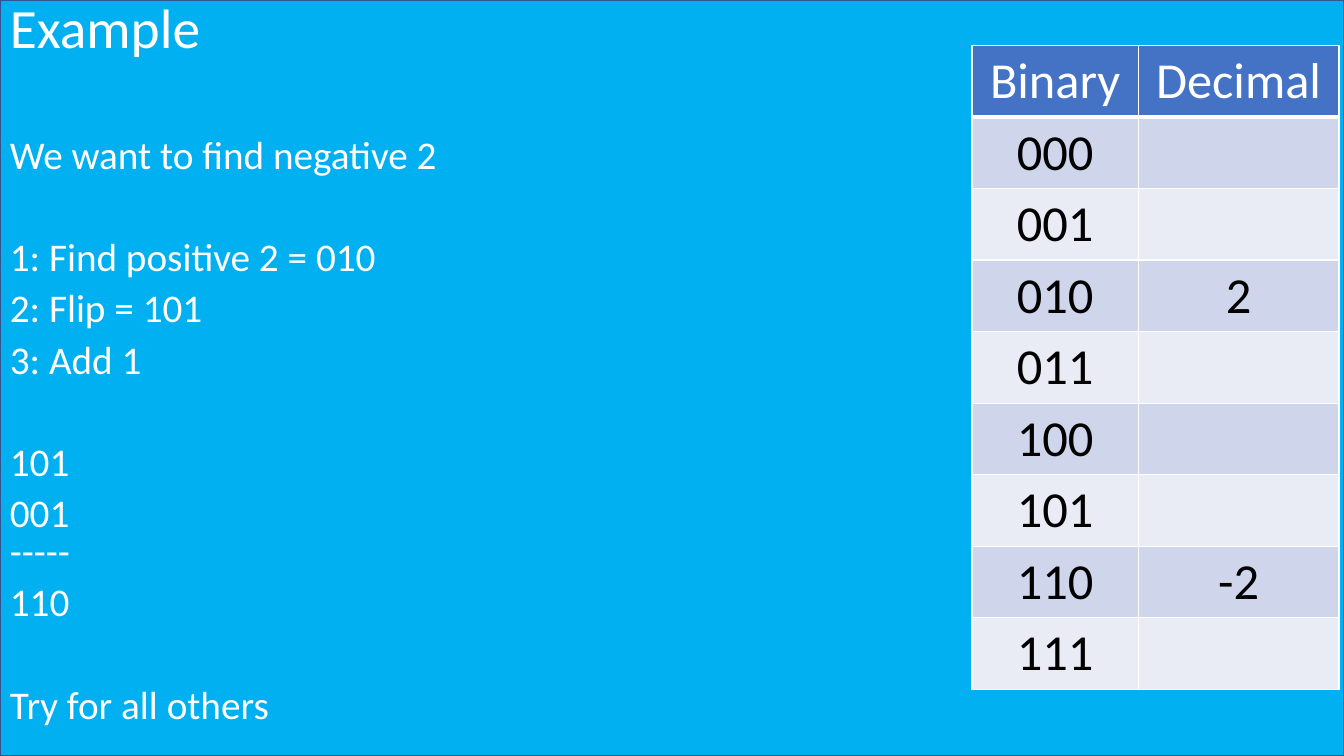
"""Build a slide on finding negative two in three-bit binary."""
import lxml.etree
import pptx
import pptx.dml.color
import pptx.enum.shapes
import pptx.enum.text
import pptx.oxml.ns
import pptx.util

Inches = pptx.util.Inches
Pt = pptx.util.Pt
WHITE = "FFFFFF"
LINE_GAP = 9.6
BLOCK_GAP = 46.5
BLOCKS = [
    ["We want to find negative 2"],
    ["1: Find positive 2 = 010", "2: Flip = 101", "3: Add 1"],
    ["101", "001\v-----", "110"],
    ["Try for all others"],
]
DECIMALS = {2: "2", 6: "-2"}


def colour(hex_value):
    """Return the colour for a hex string."""
    return pptx.dml.color.RGBColor.from_string(hex_value)


def apply_format(target, values):
    """Set each named attribute on the target."""
    for name, value in values.items():
        setattr(target, name, value)


def write(para, text, size, hex_value, **layout):
    """Write formatted text into a paragraph."""
    para.text = text
    apply_format(para, layout)
    apply_format(para.font, {"name": "Calibri", "size": Pt(size), "bold": False})
    para.font.color.rgb = colour(hex_value)


def add_background(page, deck):
    """Cover the page with an outlined blue rectangle."""
    box = page.shapes.add_shape(
        pptx.enum.shapes.MSO_SHAPE.RECTANGLE, 0, 0, deck.slide_width, deck.slide_height)
    box.shadow.inherit = False
    box.fill.solid()
    box.fill.fore_color.rgb = colour("00B0F0")
    box.line.color.rgb = colour("325491")
    box.line.width = Pt(1)


def add_text_frame(page, top, height, anchor):
    """Add a full-width wrapping text box and return its frame."""
    box = page.shapes.add_textbox(0, Inches(top), Inches(13.33), Inches(height))
    apply_format(box.text_frame, {"word_wrap": True, "vertical_anchor": anchor})
    return box.text_frame


def add_steps(page):
    """Add the worked steps, with a wide gap between blocks."""
    frame = add_text_frame(page, 1.33, 6.17, pptx.enum.text.MSO_ANCHOR.TOP)
    para = frame.paragraphs[0]
    for block_index, block in enumerate(BLOCKS):
        for line_index, text in enumerate(block):
            gap = LINE_GAP if line_index else BLOCK_GAP
            if block_index or line_index:
                para = frame.add_paragraph()
            else:
                gap = 0
            write(para, text, 28, WHITE, line_spacing=0.8, space_before=Pt(gap))


def add_borders(cell, bottom_width):
    """Draw white lines around a cell."""
    properties = cell._tc.get_or_add_tcPr()
    widths = {"a:lnL": 1, "a:lnR": 1, "a:lnT": 1, "a:lnB": bottom_width}
    for tag, width in widths.items():
        line = lxml.etree.SubElement(properties, pptx.oxml.ns.qn(tag), w=str(Pt(width)))
        fill = lxml.etree.SubElement(line, pptx.oxml.ns.qn("a:solidFill"))
        lxml.etree.SubElement(fill, pptx.oxml.ns.qn("a:srgbClr"), val=WHITE)


def add_number_table(page):
    """Add the table of binary numbers and their decimal values."""
    rows = [("Binary", "Decimal")]
    rows += [(f"{number:03b}", DECIMALS.get(number, "")) for number in range(8)]
    table = page.shapes.add_table(
        len(rows), 2, Inches(9.64), Inches(0.45), Inches(3.64), Inches(0.71 * len(rows))).table
    for column, width in zip(table.columns, (1.65, 1.99)):
        column.width = Inches(width)
    for row_index, row in enumerate(rows):
        header = row_index == 0
        band = "4472C4" if header else ("E9EBF5", "CFD5EA")[row_index % 2]
        for column_index, text in enumerate(row):
            cell = table.cell(row_index, column_index)
            add_borders(cell, 3 if header else 1)
            cell.fill.solid()
            cell.fill.fore_color.rgb = colour(band)
            write(cell.text_frame.paragraphs[0], text, 36, WHITE if header else "000000",
                  alignment=pptx.enum.text.PP_ALIGN.CENTER)


def main():
    """Build and save the deck."""
    deck = pptx.Presentation()
    apply_format(deck, {"slide_width": Inches(13.33), "slide_height": Inches(7.5)})
    page = deck.slides.add_slide(deck.slide_layouts[6])
    add_background(page, deck)
    title = add_text_frame(page, 0, 0.61, pptx.enum.text.MSO_ANCHOR.MIDDLE)
    write(title.paragraphs[0], "Example", 39.6, WHITE, line_spacing=0.9)
    add_steps(page)
    add_number_table(page)
    deck.save("out.pptx")


if __name__ == "__main__":
    main()
